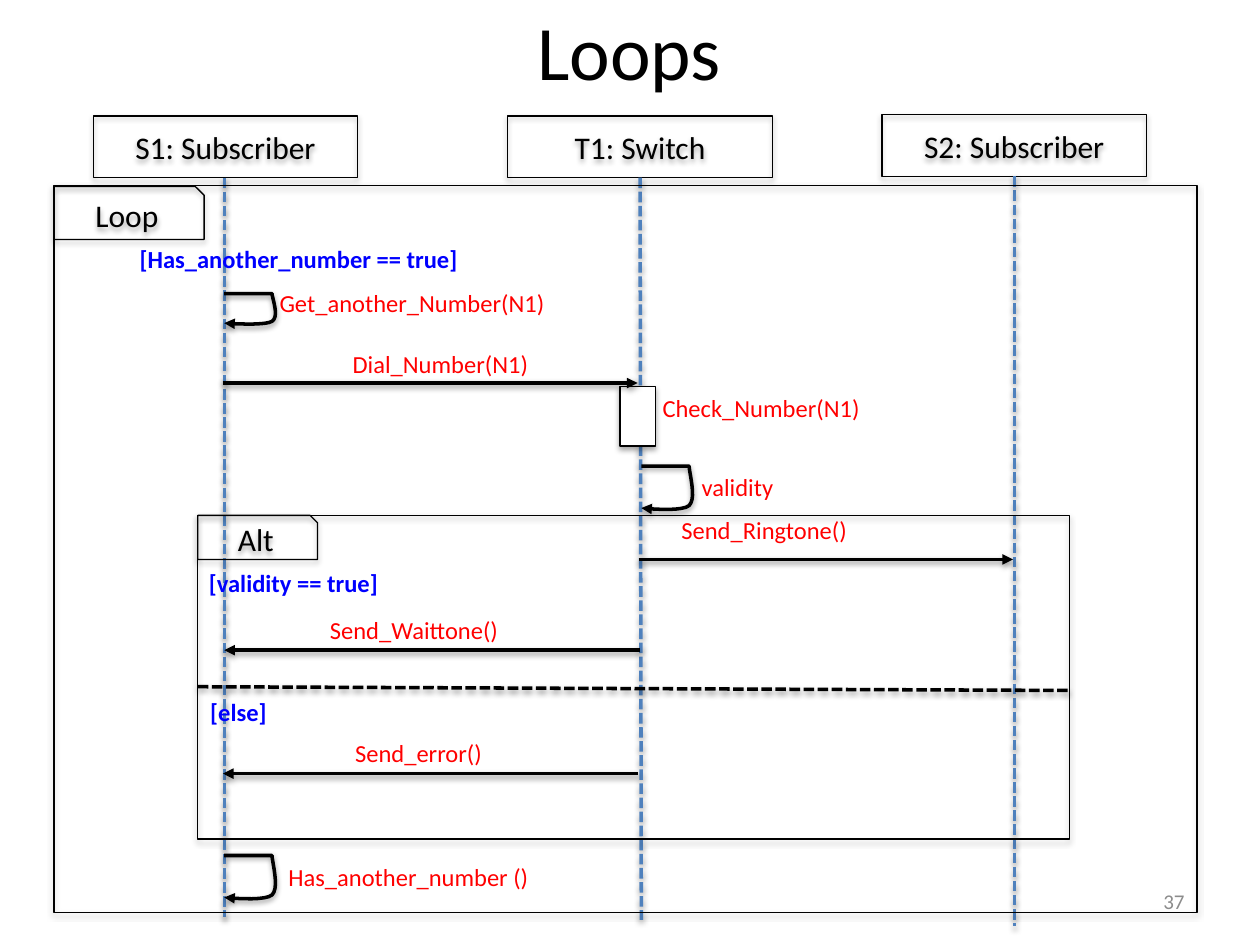
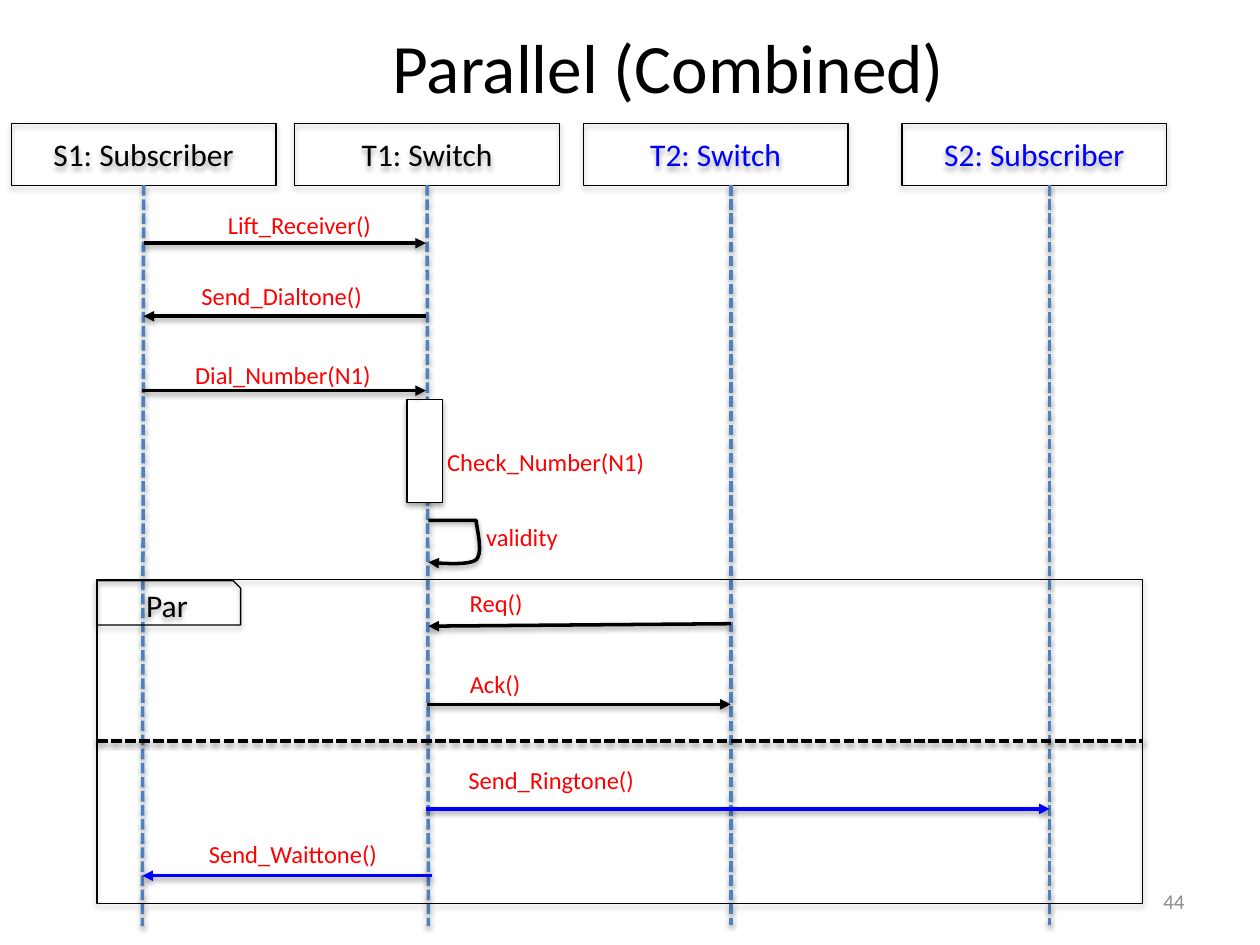
from dataclasses import dataclass

from lxml import etree
from pptx import Presentation
from pptx.dml.color import RGBColor
from pptx.enum.dml import MSO_LINE
from pptx.enum.shapes import MSO_CONNECTOR, MSO_SHAPE
from pptx.enum.text import MSO_ANCHOR, MSO_AUTO_SIZE, PP_ALIGN
from pptx.oxml.ns import qn
from pptx.util import Pt

PX = 9144  # 100 px to the inch
RECT, SNIP = MSO_SHAPE.RECTANGLE, MSO_SHAPE.SNIP_1_RECTANGLE
STRAIGHT, DASH = MSO_CONNECTOR.STRAIGHT, MSO_LINE.SQUARE_DOT
LEFT, CENTER, RIGHT = PP_ALIGN.LEFT, PP_ALIGN.CENTER, PP_ALIGN.RIGHT
TOP, MIDDLE = MSO_ANCHOR.TOP, MSO_ANCHOR.MIDDLE
FIT, FIXED = MSO_AUTO_SIZE.SHAPE_TO_FIT_TEXT, MSO_AUTO_SIZE.NONE
TITLE_ONLY = 5


@dataclass(frozen=True)
class Theme:
    font: str = "Calibri"
    ink: str = "000000"
    paper: str = "FFFFFF"
    life: str = "4F81BD"
    call: str = "FF0000"
    mark: str = "0000FF"
    page: str = "8C8C8C"
    title: float = 44
    name: float = 18
    label: float = 14
    number: float = 12
    thin: float = 0.75
    thick: float = 2


T = Theme()


def emu(*vals):
    return [round(v * PX) for v in vals]


def write(shape, text, size=T.label, color=T.ink, bold=False,
          align=LEFT, anchor=TOP, wrap=True, fit=FIXED):
    frame = shape.text_frame
    frame.word_wrap, frame.auto_size = wrap, fit
    frame.vertical_anchor = anchor
    par = frame.paragraphs[0]
    par.alignment = align
    run = par.add_run()
    run.text = text
    font = run.font
    font.name, font.size, font.bold = T.font, Pt(size), bold
    font.color.rgb = RGBColor.from_string(color)


def stroke(shape, color, width, dash=None, arrow=False):
    line = shape.line
    line.color.rgb = RGBColor.from_string(color)
    line.width = Pt(width)
    if dash:
        line.dash_style = dash
    if arrow:
        ln = shape._element.spPr.find(qn("a:ln"))
        etree.SubElement(ln, qn("a:tailEnd"), type="triangle")


def shade(shape, dist, alpha):
    """Soft shadow straight below; call after fill and line are set."""
    effects = etree.SubElement(shape._element.spPr, qn("a:effectLst"))
    outer = etree.SubElement(effects, qn("a:outerShdw"), blurRad="40000",
                             dist=str(dist), dir="5400000", rotWithShape="0")
    color = etree.SubElement(outer, qn("a:srgbClr"), val=T.ink)
    etree.SubElement(color, qn("a:alpha"), val=str(alpha * 1000))


def panel(slide, box, kind=RECT, fill=None):
    shape = slide.shapes.add_shape(kind, *emu(*box))
    if fill:
        shape.fill.solid()
        shape.fill.fore_color.rgb = RGBColor.from_string(fill)
    else:
        shape.fill.background()
    stroke(shape, T.ink, T.thin)
    shade(shape, 23000, 35)
    return shape


def rule(slide, start, end, color=T.ink, dash=None, arrow=False):
    line = slide.shapes.add_connector(STRAIGHT, *emu(*start, *end))
    stroke(line, color, T.thick, dash, arrow)
    shade(line, 20000, 38)


def label(slide, x, y, w, text, color=T.call, bold=False):
    box = slide.shapes.add_textbox(*emu(x, y, w, 34))
    write(box, text, color=color, bold=bold, wrap=False, fit=FIT)


def guard(slide, x, y, w, text):
    label(slide, x, y, w, text, T.mark, True)


# One participant: head box and dashed lifeline
def actor(slide, box, name, life, foot, color=T.ink):
    x, y, w, h = box
    write(panel(slide, box), name, T.name, color, align=CENTER, anchor=MIDDLE)
    top = y + h
    rule(slide, (life[0], top), (life[1], foot), T.life, DASH)


# Combined fragment: border, name tag, and optional divider
def frame(slide, box, name, tag, drop=0, split=None):
    x, y, w, h = box
    panel(slide, box)
    flag = panel(slide, (x, y + drop, *tag), SNIP)
    write(flag, name, T.name, align=CENTER, anchor=MIDDLE)
    if split:
        rule(slide, (x, y + split[0]), (x + w, y + split[1]), dash=DASH)


def bend(a, b, c, d, steps=10):
    """Points along a cubic curve, without its first point."""
    for k in range(1, steps + 1):
        t = k / steps
        u = 1 - t
        yield tuple(u**3 * p + 3 * u * u * t * q + 3 * u * t * t * r + t**3 * s
                    for p, q, r, s in zip(a, b, c, d))


# Message from a lifeline back to itself
def recall(slide, box):
    x, y, w, h = box
    edge, low, end = (0.95, 0), (0.95, 0.92), (0, 0.98)
    pts = [edge, *bend(edge, (0.95, 0.15), (1.1, 0.75), low),
           *bend(low, (0.8, 1.08), end, end)]
    spots = [emu(x + w * px, y + h * py) for px, py in pts]
    pen = slide.shapes.build_freeform(*emu(x, y), scale=1.0)
    pen.add_line_segments(spots, close=False)
    loop = pen.convert_to_shape()
    loop.fill.background()
    stroke(loop, T.ink, T.thick, arrow=True)
    shade(loop, 20000, 38)


# Title and page number
def page(deck, title, box, number, size=T.title):
    slide = deck.slides.add_slide(deck.slide_layouts[TITLE_ONLY])
    head = slide.shapes.title
    head.left, head.top, head.width, head.height = emu(*box)
    write(head, title, size, align=CENTER, anchor=MIDDLE)
    foot = slide.shapes.add_textbox(*emu(717, 695, 233, 40))
    write(foot, number, T.number, T.page, align=RIGHT, anchor=MIDDLE)
    return slide


def loops(deck):
    slide = page(deck, "Loops", (283, -23, 433, 125), "37")
    for x, y, name, life, foot in (
            (74, 92, "S1: Subscriber", (178, 178), 728),
            (403, 92, "T1: Switch", (508, 509), 730),
            (700, 91, "S2: Subscriber", (805, 805), 735)):
        actor(slide, (x, y, 210, 49), name, life, foot)
    panel(slide, (492, 307, 28, 47), fill=T.paper)

    # Fragments and their guards
    frame(slide, (157, 409, 692, 257), "Alt", (95, 35), split=(136, 139))
    frame(slide, (43, 147, 907, 577), "Loop", (119, 42), drop=1)
    guard(slide, 101, 189, 274, "[Has_another_number == true]")
    guard(slide, 156, 446, 156, "[validity == true]")
    guard(slide, 157, 548, 65, "[else]")

    # Messages
    for x, y, h in ((178, 233, 24), (509, 370, 34), (178, 679, 34)):
        recall(slide, (x, y, 40, h))
    for start, end, y in ((177, 506, 304), (507, 804, 444),
                          (508, 178, 516), (506, 177, 614)):
        rule(slide, (start, y), (end, y), arrow=True)
    for spot in ((212, 224, 232, "Get_another_Number(N1)"),
                 (270, 272, 161, "Dial_Number(N1)"),
                 (516, 307, 178, "Check_Number(N1)"),
                 (547, 370, 78, "validity"),
                 (531, 404, 153, "Send_Ringtone()"),
                 (252, 483, 156, "Send_Waittone()"),
                 (272, 581, 122, "Send_error()"),
                 (219, 679, 212, "Has_another_number ()")):
        label(slide, *spot)


def parallel(deck):
    slide = page(deck, "Parallel (Combined)", (283, -10, 495, 125), "44", 39.6)
    for x, name, life, foot, color in (
            (9, "S1: Subscriber", (114, 113), 735, T.ink),
            (234, "T1: Switch", (339, 340), 735, T.ink),
            (463, "T2: Switch", (580, 580), 734, T.mark),
            (716, "S2: Subscriber", (833, 833), 734, T.mark)):
        actor(slide, (x, 98, 210, 49), name, life, foot, color)
    panel(slide, (323, 317, 28, 82), fill=T.paper)
    frame(slide, (77, 460, 830, 257), "Par", (114, 35), 1, (128, 128))

    # Messages
    recall(slide, (340, 413, 40, 34))
    for start, end, color in (((114, 193), (338, 193), T.ink),
                              ((338, 251), (114, 251), T.ink),
                              ((113, 310), (338, 310), T.ink),
                              ((580, 495), (340, 497), T.ink),
                              ((339, 559), (580, 559), T.ink),
                              ((338, 642), (833, 642), T.mark),
                              ((343, 695), (113, 695), T.mark)):
        rule(slide, start, end, color, arrow=True)
    for spot in ((171, 162, 135, "Lift_Receiver()"),
                 (150, 218, 149, "Send_Dialtone()"),
                 (145, 281, 161, "Dial_Number(N1)"),
                 (345, 350, 178, "Check_Number(N1)"),
                 (376, 409, 78, "validity"),
                 (363, 462, 63, "Req()"),
                 (363, 526, 61, "Ack()"),
                 (362, 602, 153, "Send_Ringtone()"),
                 (156, 661, 156, "Send_Waittone()")):
        label(slide, *spot)


def main():
    deck = Presentation()
    deck.slide_width, deck.slide_height = emu(1000, 750)
    loops(deck)
    parallel(deck)
    deck.save("out.pptx")


if __name__ == "__main__":
    main()
